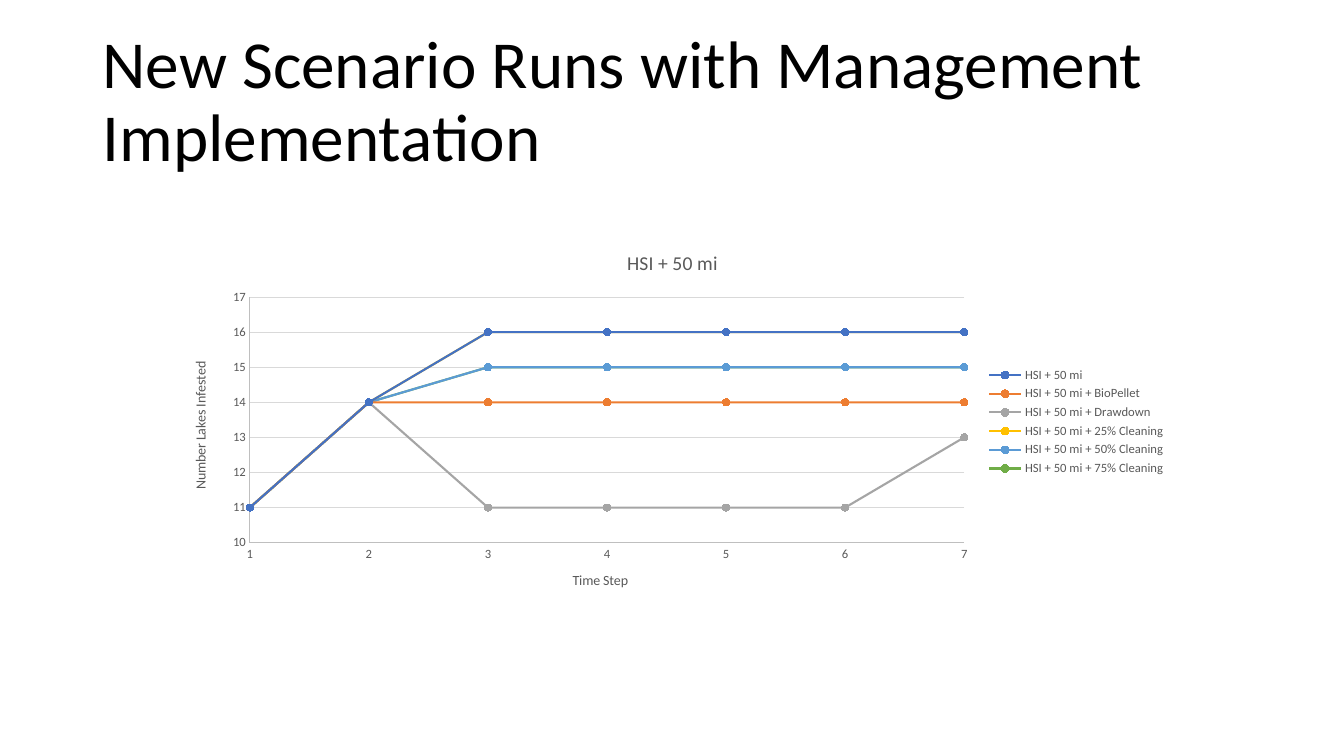
from lxml import etree
from pptx import Presentation
from pptx.chart.data import XyChartData
from pptx.dml.color import RGBColor
from pptx.enum.chart import XL_CHART_TYPE as ChartType
from pptx.enum.chart import XL_LEGEND_POSITION as LegendPosition
from pptx.enum.chart import XL_MARKER_STYLE as Marker
from pptx.enum.chart import XL_TICK_MARK as TickMark
from pptx.enum.text import MSO_ANCHOR as Anchor
from pptx.oxml.ns import qn
from pptx.util import Inches, Pt

FONT = "Calibri"
COLORS = {"title": "000000", "label": "595959", "axis": "BFBFBF", "grid": "D9D9D9"}

# Name, line colour and lakes infested at time steps 1 to 7
SCENARIOS = [
    ("HSI + 50 mi", "4472C4", (11, 14, 16, 16, 16, 16, 16)),
    ("HSI + 50 mi + BioPellet", "ED7D31", (11, 14, 14, 14, 14, 14, 14)),
    ("HSI + 50 mi + Drawdown", "A5A5A5", (11, 14, 11, 11, 11, 11, 13)),
    ("HSI + 50 mi + 25% Cleaning", "FFC000", (11, 14, 16, 16, 16, 16, 16)),
    ("HSI + 50 mi + 50% Cleaning", "5B9BD5", (11, 14, 15, 15, 15, 15, 15)),
    ("HSI + 50 mi + 75% Cleaning", "70AD47", (11, 14, 15, 15, 15, 15, 15)),
]


def style(font, size, color="label"):
    font.name = FONT
    font.size = Pt(size)
    font.bold = False
    font.color.rgb = RGBColor.from_string(COLORS[color])


def write(frame, text, size, color="label", line_spacing=None, space_after=None):
    paragraph = frame.paragraphs[0]
    run = paragraph.add_run()
    run.text = text
    style(run.font, size, color)
    paragraph.line_spacing = line_spacing
    paragraph.space_after = space_after


deck = Presentation()
deck.slide_width, deck.slide_height = Inches(13.33), Inches(7.5)
slide = deck.slides.add_slide(deck.slide_layouts[6])
column, row = deck.slide_width / 100, deck.slide_height / 100

# Heading
heading = slide.shapes.add_textbox(
    int(6.9 * column), int(2.67 * row), int(86.27 * column), int(22 * row)).text_frame
heading.word_wrap = True
heading.vertical_anchor = Anchor.MIDDLE
write(heading, "New Scenario Runs with Management Implementation", 48, "title",
      line_spacing=0.9, space_after=Pt(6))

# Chart of infested lakes
runs = XyChartData()
for name, _, lakes in SCENARIOS:
    scenario = runs.add_series(name)
    for step, count in enumerate(lakes, start=1):
        scenario.add_data_point(step, count)
chart = slide.shapes.add_chart(
    ChartType.XY_SCATTER_SMOOTH, int(12.6 * column), int(30.8 * row),
    int(74.87 * column), int(50 * row), runs).chart
style(chart.font, 10, "title")
chart.has_title = True
write(chart.chart_title.text_frame, "HSI + 50 mi", 14)
chart.chart_title.include_in_layout = False

# Legend
chart.has_legend = True
chart.legend.position = LegendPosition.RIGHT
chart.legend.include_in_layout = False
style(chart.legend.font, 9)

# Scenario curves
plot = chart.plots[0]
plot.vary_by_categories = False
for curve, (_, color, _) in zip(plot.series, SCENARIOS):
    rgb = RGBColor.from_string(color)
    curve.smooth = True
    curve.format.line.width = Pt(1.5)
    curve.format.line.color.rgb = rgb
    curve.marker.style = Marker.CIRCLE
    curve.marker.size = 5
    for part in (curve.marker.format.fill, curve.marker.format.line.fill):
        part.solid()
        part.fore_color.rgb = rgb

# Axes
time_axis, lakes_axis = chart.category_axis, chart.value_axis
for axis, label, low, high in (
        (time_axis, "Time Step", 1, 7),
        (lakes_axis, "Number Lakes Infested", 10, 17)):
    axis.minimum_scale, axis.maximum_scale, axis.major_unit = low, high, 1
    axis.major_tick_mark = axis.minor_tick_mark = TickMark.NONE
    axis.has_major_gridlines = axis is lakes_axis
    axis.tick_labels.number_format = "General"
    axis.tick_labels.number_format_is_linked = False
    style(axis.tick_labels.font, 9)
    axis.format.line.width = Pt(0.75)
    axis.format.line.color.rgb = RGBColor.from_string(COLORS["axis"])
    write(axis.axis_title.text_frame, label, 10)
gridline = lakes_axis.major_gridlines.format.line
gridline.width = Pt(0.75)
gridline.color.rgb = RGBColor.from_string(COLORS["grid"])
lakes_axis.axis_title._element.find(".//" + qn("a:bodyPr")).set("rot", "-5400000")

# Plot area as shares of the chart
plot_area = chart._chartSpace.chart.plotArea
for old_layout in plot_area.findall(qn("c:layout")):
    plot_area.remove(old_layout)
layout = etree.Element(qn("c:layout"))
plot_area.insert(0, layout)
manual = etree.SubElement(layout, qn("c:manualLayout"))
for tag, value in (("layoutTarget", "inner"), ("xMode", "edge"), ("yMode", "edge"),
                   ("x", 0.08), ("y", 0.17), ("w", 0.71), ("h", 0.65)):
    etree.SubElement(manual, qn("c:" + tag)).set("val", str(value))

deck.save("out.pptx")
